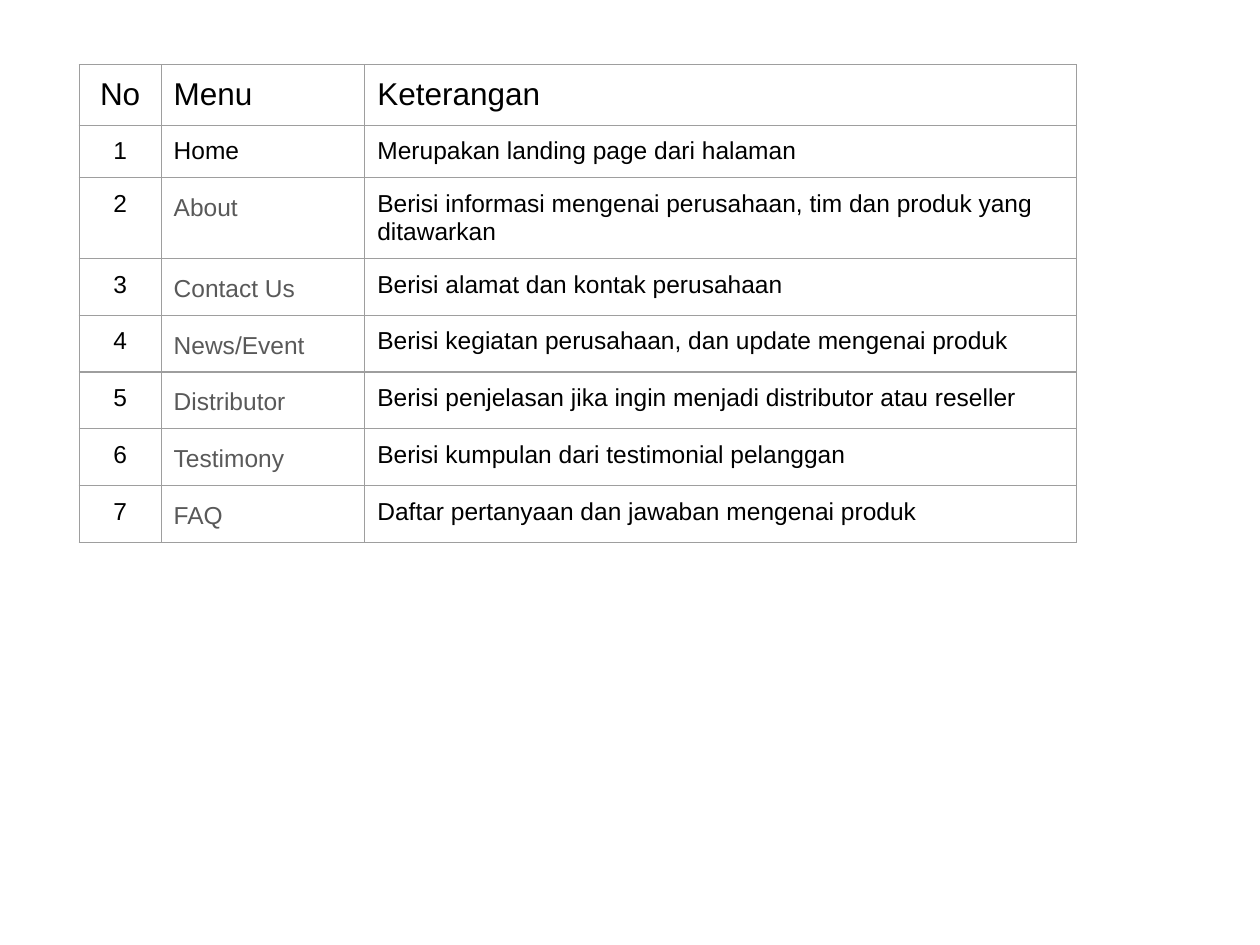
from lxml import etree
from pptx import Presentation
from pptx.dml.color import RGBColor
from pptx.enum import text
from pptx.oxml.ns import qn
from pptx.util import Pt

COLORS = {"text": "000000", "menu": "595959", "border": "9E9E9E"}
FONT = "Arial"
HEADER = ("No", "Menu", "Keterangan")
MENU = [
    ("Home", "Merupakan landing page dari halaman"),
    ("About", "Berisi informasi mengenai perusahaan, tim dan produk yang ditawarkan"),
    ("Contact Us", "Berisi alamat dan kontak perusahaan"),
    ("News/Event", "Berisi kegiatan perusahaan, dan update mengenai produk"),
    ("Distributor", "Berisi penjelasan jika ingin menjadi distributor atau reseller"),
    ("Testimony", "Berisi kumpulan dari testimonial pelanggan"),
    ("FAQ", "Daftar pertanyaan dan jawaban mengenai produk"),
]
LEFT, TOP = 45.25, 36.9
COLUMN_WIDTHS = (46.8, 116.4, 406.8)
ROW_HEIGHT = 30
MARGIN = 7.2
BORDER_WIDTH = 0.75


def add_borders(cell):
    properties = cell._tc.get_or_add_tcPr()
    for position, side in enumerate(("lnL", "lnR", "lnT", "lnB")):
        line = etree.Element(qn(f"a:{side}"), w=str(Pt(BORDER_WIDTH)))
        fill = etree.SubElement(line, qn("a:solidFill"))
        etree.SubElement(fill, qn("a:srgbClr"), val=COLORS["border"])
        properties.insert(position, line)


def fill_cell(cell, content, row, column):
    cell.fill.background()
    cell.margin_left = cell.margin_right = Pt(MARGIN)
    cell.margin_top = cell.margin_bottom = Pt(MARGIN)
    add_borders(cell)
    cell.text = content
    paragraph = cell.text_frame.paragraphs[0]
    # Menu entries after Home are grey and more widely spaced
    is_subpage = column == 1 and row > 1
    font = paragraph.font
    font.name = FONT
    font.bold = False
    font.size = Pt(18 if row == 0 else 14)
    font.color.rgb = RGBColor.from_string(COLORS["menu" if is_subpage else "text"])
    paragraph.alignment = text.PP_ALIGN.CENTER if column == 0 else text.PP_ALIGN.LEFT
    if is_subpage:
        paragraph.line_spacing = 1.15
        paragraph.space_after = Pt(16)


def main():
    presentation = Presentation()
    presentation.slide_width, presentation.slide_height = Pt(720), Pt(540)
    slide = presentation.slides.add_slide(presentation.slide_layouts[6])

    rows = [HEADER] + [(str(number), *entry) for number, entry in enumerate(MENU, 1)]
    table = slide.shapes.add_table(
        len(rows), len(HEADER), Pt(LEFT), Pt(TOP),
        Pt(sum(COLUMN_WIDTHS)), Pt(ROW_HEIGHT * len(rows))).table
    table.first_row = table.horz_banding = False
    for column, width in zip(table.columns, COLUMN_WIDTHS):
        column.width = Pt(width)
    for row, contents in enumerate(rows):
        table.rows[row].height = Pt(ROW_HEIGHT)
        for column, content in enumerate(contents):
            fill_cell(table.cell(row, column), content, row, column)

    presentation.save("out.pptx")


if __name__ == "__main__":
    main()
